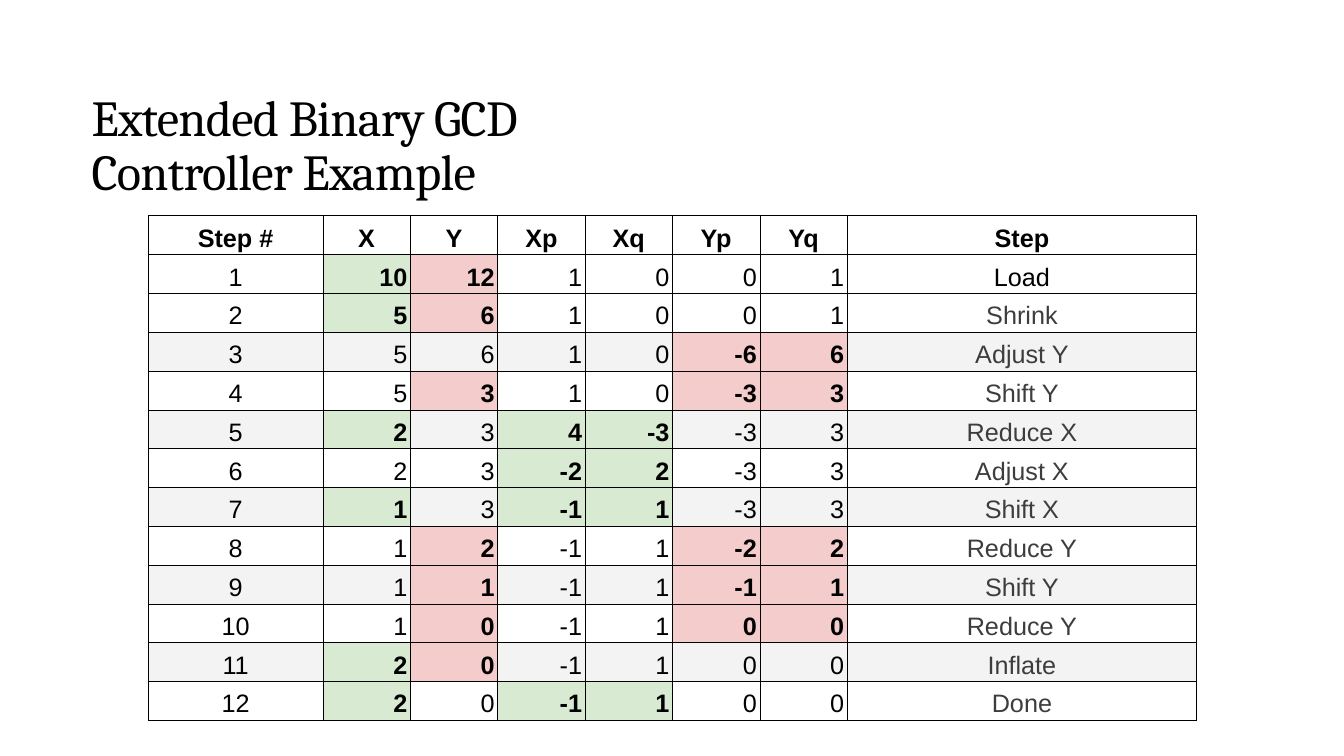
from pptx import Presentation, util as u
from pptx.dml.color import RGBColor
from pptx.enum import text
from pptx.oxml import parse_xml
from pptx.oxml.ns import nsdecls

# Content: row values, then the columns changed in that step
TITLE = "Extended Binary GCD Controller Example"
HEADS = ["Step #", "X", "Y", "Xp", "Xq", "Yp", "Yq", "Step"]
STEPS = [
    ((10, 12, 1, 0, 0, 1), "Load", "X Y"),
    ((5, 6, 1, 0, 0, 1), "Shrink", "X Y"),
    ((5, 6, 1, 0, -6, 6), "Adjust Y", "Yp Yq"),
    ((5, 3, 1, 0, -3, 3), "Shift Y", "Y Yp Yq"),
    ((2, 3, 4, -3, -3, 3), "Reduce X", "X Xp Xq"),
    ((2, 3, -2, 2, -3, 3), "Adjust X", "Xp Xq"),
    ((1, 3, -1, 1, -3, 3), "Shift X", "X Xp Xq"),
    ((1, 2, -1, 1, -2, 2), "Reduce Y", "Y Yp Yq"),
    ((1, 1, -1, 1, -1, 1), "Shift Y", "Y Yp Yq"),
    ((1, 0, -1, 1, 0, 0), "Reduce Y", "Y Yp Yq"),
    ((2, 0, -1, 1, 0, 0), "Inflate", "X Y"),
    ((2, 0, -1, 1, 0, 0), "Done", "X Xp Xq"),
]
COLORS = {"ink": "000000", "soft": "3D3D3D", "plain": "FFFFFF",
          "band": "F3F3F3", "X": "D9EAD3", "Y": "F4CCCC"}
UNIT = 10.4 / 12  # the number columns are one unit wide
SPANS = [2, 1, 1, 1, 1, 1, 1, 4]
ROW = 5.01 / 13


def style(run, font, size, bold=False, color="ink"):
    run.font.name = font
    run.font.size = u.Pt(size)
    run.font.bold = bold
    run.font.color.rgb = RGBColor.from_string(COLORS[color])


def border(cell):
    props = cell._tc.get_or_add_tcPr()
    for i, side in enumerate("LRTB"):
        props.insert(i, parse_xml(
            f'<a:ln{side} {nsdecls("a")} w="{u.Pt(0.48)}"><a:solidFill>'
            f'<a:srgbClr val="{COLORS["ink"]}"/></a:solidFill></a:ln{side}>'))


def fill_cell(cell, value, fill, align, bold, color):
    cell.text_frame.text = str(value)
    cell.vertical_anchor = text.MSO_ANCHOR.BOTTOM
    cell.margin_left = cell.margin_right = u.Inches(0.03)
    cell.margin_top = cell.margin_bottom = u.Inches(0.02)
    cell.fill.solid()
    cell.fill.fore_color.rgb = RGBColor.from_string(COLORS[fill])
    border(cell)
    para = cell.text_frame.paragraphs[0]
    para.alignment = align
    style(para.runs[0], "Arial", 18, bold, color)


def main():
    deck = Presentation()
    deck.slide_width, deck.slide_height = u.Inches(13.33), u.Inches(7.5)
    slide = deck.slides.add_slide(deck.slide_layouts[6])

    # Step table
    frame = slide.shapes.add_table(
        len(STEPS) + 1, len(HEADS), u.Inches(1.47), u.Inches(2.14),
        u.Inches(UNIT * sum(SPANS)), u.Inches(ROW * (len(STEPS) + 1)))
    table = frame.table
    table.first_row = table.horz_banding = False
    for col, span in zip(table.columns, SPANS):
        col.width = u.Inches(UNIT * span)
    for row in table.rows:
        row.height = u.Inches(ROW)

    # Header row
    mid, right = text.PP_ALIGN.CENTER, text.PP_ALIGN.RIGHT
    for c, head in enumerate(HEADS):
        fill_cell(table.cell(0, c), head, "plain", mid, True, "ink")

    # Body rows: changed values are bold on the colour of X or Y
    for r, (nums, step, marks) in enumerate(STEPS, 1):
        base = "band" if r > 1 and r % 2 else "plain"
        for c, value in enumerate((r, *nums, step)):
            hit = HEADS[c] in marks.split()
            fill = HEADS[c][0] if hit else base
            align = right if 0 < c < len(HEADS) - 1 else mid
            color = "soft" if c == len(HEADS) - 1 and r > 1 else "ink"
            fill_cell(table.cell(r, c), value, fill, align, hit, color)

    # Title
    box = slide.shapes.add_textbox(
        u.Inches(0.81), u.Inches(0.38), u.Inches(5.47), u.Inches(1.67))
    body = box.text_frame
    body.word_wrap = True
    body.vertical_anchor = text.MSO_ANCHOR.BOTTOM
    body.text = TITLE
    para = body.paragraphs[0]
    para.line_spacing = 0.9
    style(para.runs[0], "Cambria", 36)
    para.runs[0]._r.get_or_add_rPr().set("spc", "-50")

    deck.save("out.pptx")


if __name__ == "__main__":
    main()
